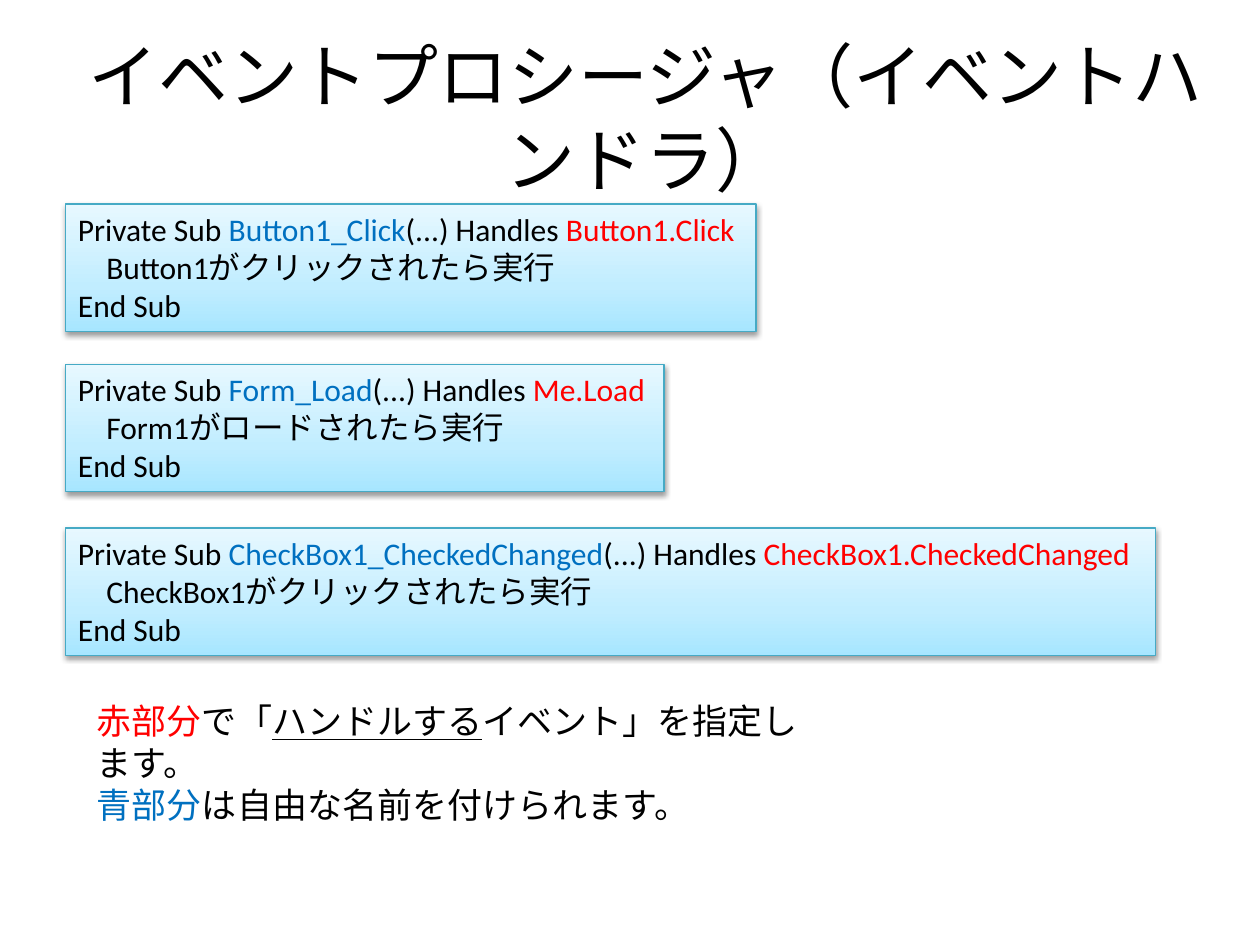
from copy import deepcopy

from lxml import etree
from pptx import Presentation, util as u
from pptx.dml.color import RGBColor
from pptx.enum import shapes, text
from pptx.oxml.ns import qn

BLACK = RGBColor(0x00, 0x00, 0x00)
RED = RGBColor(0xFF, 0x00, 0x00)
BLUE = RGBColor(0x00, 0x70, 0xC0)
BORDER = RGBColor(0x46, 0xAA, 0xC5)
GRADIENT = [
    (0, RGBColor(0xA7, 0xE6, 0xFF)),
    (0.35, RGBColor(0xC1, 0xED, 0xFF)),
    (1, RGBColor(0xE7, 0xF8, 0xFF)),
]

TITLE = "イベントプロシージャ（イベントハンドラ）"
PROCEDURES = [
    ("Button1_Click", "Button1.Click", "Button1がクリックされたら実行", 1.62, 5.48),
    ("Form_Load", "Me.Load", "Form1がロードされたら実行", 2.89, 4.75),
    ("CheckBox1_CheckedChanged", "CheckBox1.CheckedChanged",
     "CheckBox1がクリックされたら実行", 4.19, 8.65),
]
NOTES = [
    [("赤部分", RED), ("で「", BLACK), ("ハンドルする", BLACK, True),
     ("イベント」を指定します。", BLACK)],
    [("青部分", BLUE), ("は自由な名前を付けられます。", BLACK)],
]
CODE_LEFT, CODE_HEIGHT = 0.52, 1.01


def write(frame, lines, size, font, align=text.PP_ALIGN.LEFT):
    for index, line in enumerate(lines):
        paragraph = frame.add_paragraph() if index else frame.paragraphs[0]
        paragraph.alignment = align
        paragraph.font.size = u.Pt(size)
        paragraph.font.name = font
        for words, color, *underline in line:
            run = paragraph.add_run()
            run.text = words
            run.font.color.rgb = color
            if underline:
                run.font.underline = True


def add_text(slide, box, lines, size, font, align=text.PP_ALIGN.LEFT):
    frame = slide.shapes.add_textbox(*map(u.Inches, box)).text_frame
    frame.word_wrap = True
    write(frame, lines, size, font, align)
    return frame


def fill_gradient(shape):
    shape.fill.gradient()
    shape.fill.gradient_angle = 90
    stops = shape.fill.gradient_stops
    stop_list = shape._element.spPr.find(qn("a:gradFill")).find(qn("a:gsLst"))
    stop_list.append(deepcopy(stop_list[0]))
    stops = shape.fill.gradient_stops
    for stop, (position, color) in zip(stops, GRADIENT):
        stop.position = position
        stop.color.rgb = color


def add_shadow(shape):
    shape.shadow.inherit = False
    effects = shape._element.spPr.find(qn("a:effectLst"))
    shadow = etree.SubElement(
        effects, qn("a:outerShdw"), blurRad=str(u.Pt(3.1)), dist=str(u.Pt(1.6)),
        dir="5400000", rotWithShape="0")
    color = etree.SubElement(shadow, qn("a:srgbClr"), val=str(BLACK))
    etree.SubElement(color, qn("a:alpha"), val="38000")


def add_procedure(slide, name, event, action, top, width):
    box = map(u.Inches, (CODE_LEFT, top, width, CODE_HEIGHT))
    shape = slide.shapes.add_shape(shapes.MSO_SHAPE.RECTANGLE, *box)
    fill_gradient(shape)
    shape.line.color.rgb = BORDER
    shape.line.width = u.Pt(0.75)
    add_shadow(shape)
    frame = shape.text_frame
    frame.word_wrap = False
    frame.auto_size = text.MSO_AUTO_SIZE.SHAPE_TO_FIT_TEXT
    frame.vertical_anchor = text.MSO_ANCHOR.TOP
    write(frame, [
        [("Private Sub ", BLACK), (name, BLUE), ("(...) Handles ", BLACK), (event, RED)],
        [("    " + action, BLACK)],
        [("End Sub", BLACK)],
    ], 18, "Calibri")


def main():
    presentation = Presentation()
    presentation.slide_width = u.Inches(10)
    presentation.slide_height = u.Inches(7.5)
    slide = presentation.slides.add_slide(presentation.slide_layouts[6])
    title = add_text(slide, (0.5, 0.3, 9.25, 1.25), [[(TITLE, BLACK)]], 40,
                     "Calibri", text.PP_ALIGN.CENTER)
    title.vertical_anchor = text.MSO_ANCHOR.MIDDLE
    notes = add_text(slide, (0.67, 5.5, 5.87, 0.77), NOTES, 20, "Arial")
    notes.auto_size = text.MSO_AUTO_SIZE.SHAPE_TO_FIT_TEXT
    for procedure in PROCEDURES:
        add_procedure(slide, *procedure)
    presentation.save("out.pptx")


if __name__ == "__main__":
    main()
